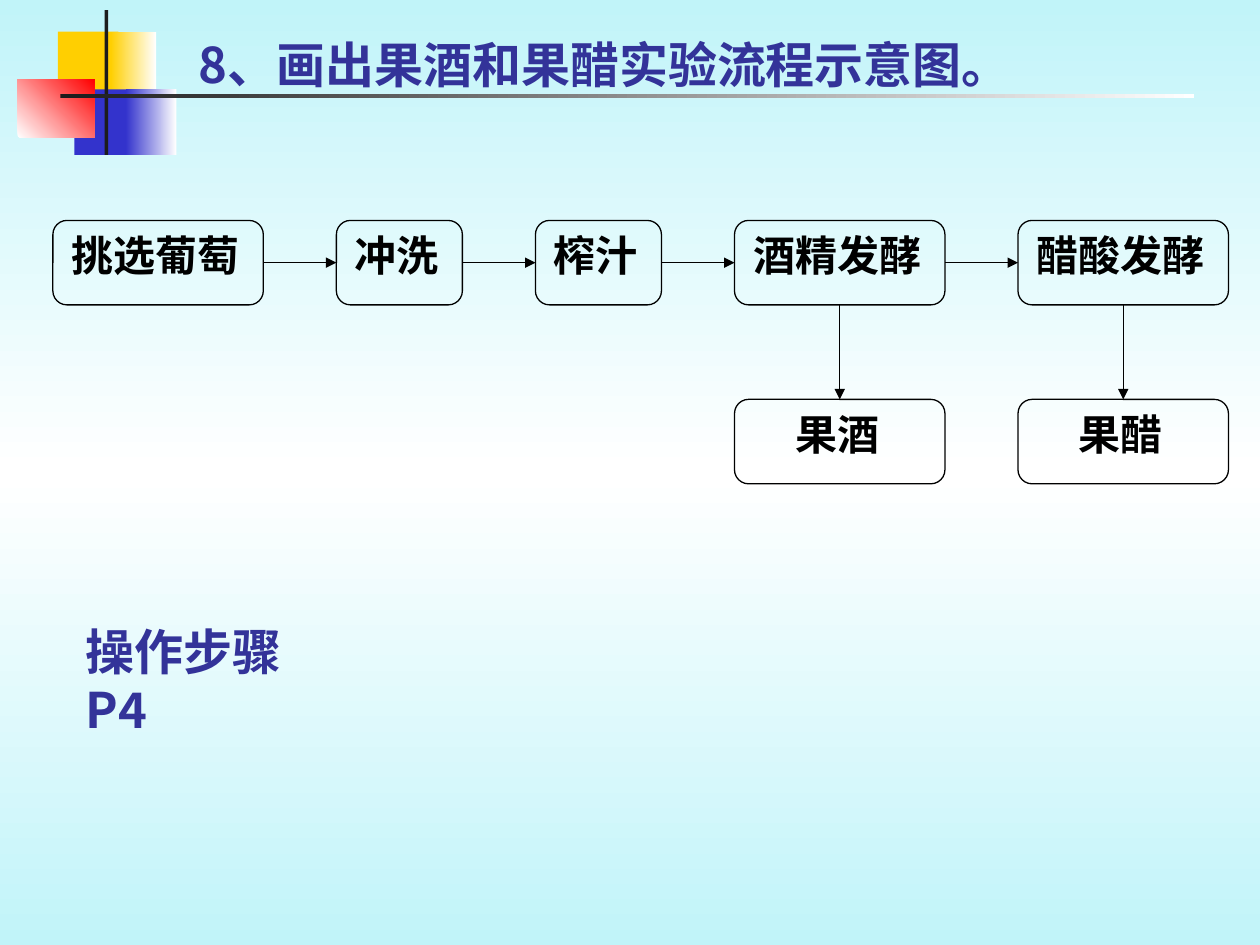
"""Build a slide with the flow chart of fruit wine and fruit vinegar making."""
from copy import deepcopy
from pptx import Presentation
from pptx.dml.color import RGBColor
from pptx.enum.shapes import MSO_CONNECTOR, MSO_SHAPE
from pptx.enum.text import MSO_ANCHOR, PP_ALIGN
from pptx.oxml.ns import qn
from pptx.oxml.xmlchemy import OxmlElement
from pptx.util import Inches, Pt

HUES = {
    "sky": "C1F4F9", "white": "FFFFFF", "gold": "FFCF01", "blue": "3333CC",
    "red": "FF0000", "dark": "1C1C1C", "ink": "333399", "black": "000000",
}
HUES = {name: RGBColor.from_string(code) for name, code in HUES.items()}


def blend(fill, first, last, angle):
    fill.gradient()
    fill.gradient_angle = angle
    for stop, hue, place in zip(fill.gradient_stops, (first, last), (0, 1)):
        stop.color.rgb = HUES[hue]
        stop.position = place


def write(frame, text, size, face, hue):
    para = frame.paragraphs[0]
    para.text = text
    font = para.font
    font.size, font.name, font.bold = Pt(size), face, True
    font.color.rgb = HUES[hue]
    east = OxmlElement("a:ea")
    east.set("typeface", "Noto Sans CJK SC")
    para._p.pPr.find(qn("a:defRPr")).append(east)
    return para


deck = Presentation()
deck.slide_width, deck.slide_height = Inches(10), Inches(7.5)
slide = deck.slides.add_slide(deck.slide_layouts[6])
shapes = slide.shapes

blend(slide.background.fill, "sky", "sky", 270)
stops = next(slide.element.iter(qn("a:gsLst")))
middle = deepcopy(stops[0])
stops.insert(1, middle)
center = slide.background.fill.gradient_stops[1]
center.color.rgb = HUES["white"]
center.position = 0.5

blocks = [
    (0.46, 0.25, 0.48, 0.52, "gold", None, 0),
    (0.88, 0.25, 0.36, 0.52, "gold", "white", 0),
    (0.59, 0.71, 0.46, 0.52, "blue", None, 0),
    (1, 0.71, 0.4, 0.52, "blue", "white", 0),
    (0.14, 0.63, 0.61, 0.46, "white", "red", 45),
    (0.83, 0.08, 0.03, 1.15, "dark", None, 0),
    (0.48, 0.75, 9, 0.03, "dark", "white", 0),
]
for left, top, width, height, first, last, angle in blocks:
    block = shapes.add_shape(
        MSO_SHAPE.RECTANGLE, Inches(left), Inches(top), Inches(width), Inches(height))
    block.shadow.inherit = False
    block.line.fill.background()
    if last:
        blend(block.fill, first, last, angle)
    else:
        block.fill.solid()
        block.fill.fore_color.rgb = HUES[first]

title = shapes.add_textbox(Inches(1.48), Inches(0.17), Inches(7.11), Inches(0.57)).text_frame
title.word_wrap = True
title.vertical_anchor = MSO_ANCHOR.BOTTOM
title.margin_top = title.margin_bottom = 0
write(title, "8、画出果酒和果醋实验流程示意图。", 28, "Noto Sans CJK SC", "ink")

steps = [
    ("挑选葡萄", 0.42, 1.75, 1.67), ("冲洗", 2.67, 1.75, 1),
    ("榨汁", 4.25, 1.75, 1), ("酒精发酵", 5.83, 1.75, 1.67),
    ("醋酸发酵", 8.08, 1.75, 1.67),
    ("果酒", 5.83, 3.17, 1.67), ("果醋", 8.08, 3.17, 1.67),
]
boxes = []
for text, left, top, width in steps:
    box = shapes.add_shape(
        MSO_SHAPE.ROUNDED_RECTANGLE, Inches(left), Inches(top), Inches(width), Inches(0.67))
    box.shadow.inherit = False
    box.fill.background()
    box.line.color.rgb = HUES["black"]
    box.line.width = Pt(0.75)
    frame = box.text_frame
    frame.word_wrap = False
    frame.vertical_anchor = MSO_ANCHOR.TOP
    frame.margin_left, frame.margin_right = Inches(0.1), Inches(0.14)
    frame.margin_top = Inches(0.04)
    write(frame, text, 24, "Roboto", "black").alignment = PP_ALIGN.CENTER
    boxes.append(box)

links = [(step, step + 1, 3, 1) for step in range(4)] + [(3, 5, 2, 0), (4, 6, 2, 0)]
for start, end, exit, entry in links:
    arrow = shapes.add_connector(MSO_CONNECTOR.STRAIGHT, 0, 0, 0, 0)
    arrow.begin_connect(boxes[start], exit)
    arrow.end_connect(boxes[end], entry)
    arrow.line.color.rgb = HUES["black"]
    arrow.line.width = Pt(0.75)
    tip = OxmlElement("a:tailEnd")
    tip.set("type", "triangle")
    arrow.line._get_or_add_ln().append(tip)
    arrow._element.spPr.append(OxmlElement("a:effectLst"))

note = shapes.add_textbox(Inches(0.58), Inches(4.88), Inches(2.31), Inches(0.57)).text_frame
note.word_wrap = True
note.margin_right = Inches(0.4)
write(note, "操作步骤P4", 28, "Noto Sans CJK SC", "ink")

deck.save("out.pptx")
